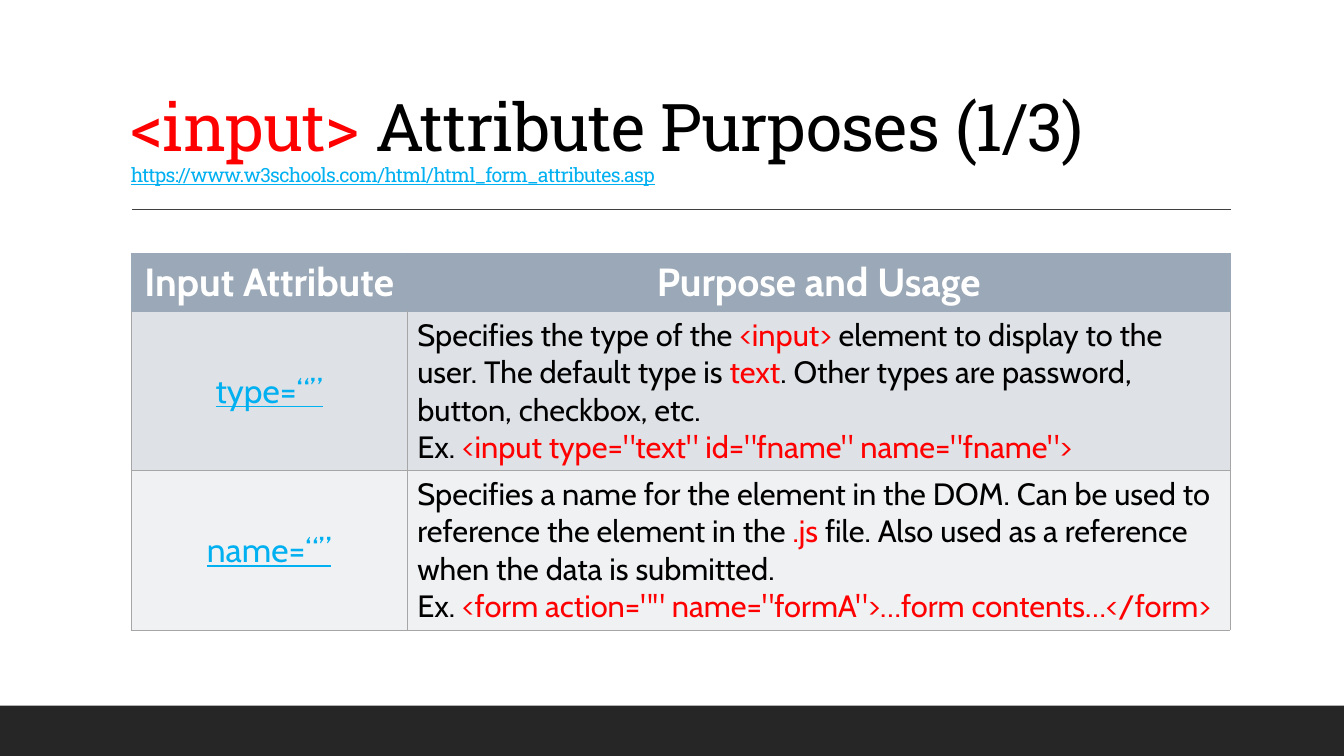
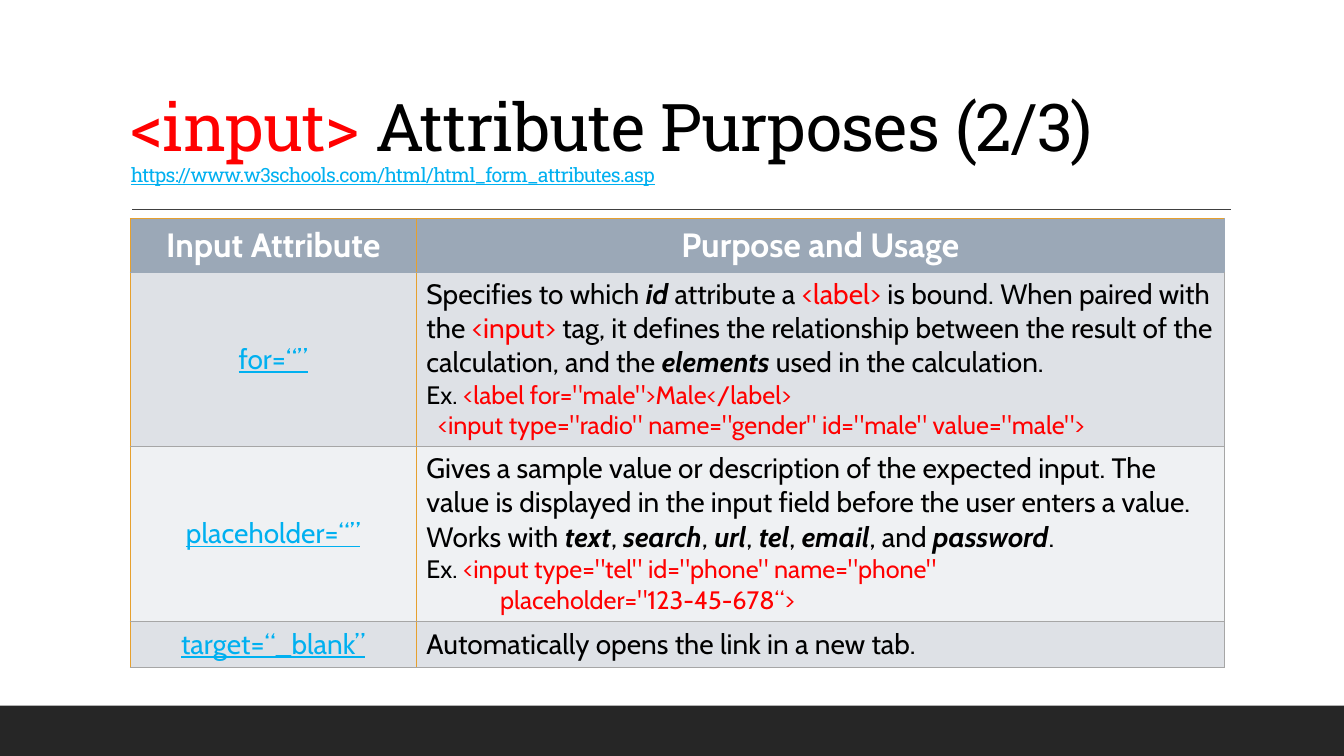
from dataclasses import dataclass
from typing import Optional

from lxml import etree
from pptx import Presentation
from pptx import util as u
from pptx.dml.color import RGBColor
from pptx.enum import shapes, text
from pptx.oxml import ns

COLORS = {
    "band": "262626", "rule": "404040", "black": "000000", "white": "FFFFFF",
    "tag": "FF0000", "link": "00B0F0", "header": "9BA8B7",
    "odd": "DEE1E6", "even": "EFF1F3", "grid": "A6A6A6", "orange": "E6A02E",
}
TITLE_FONT, BODY_FONT = "Roboto Slab", "Cabin"

# Colour key and font attributes of each kind of span
STYLES = {
    "plain": ("black", {"bold": False}),
    "tag": ("tag", {"bold": False}),
    "term": ("black", {"bold": True, "italic": True}),
    "link": ("link", {"bold": False, "underline": True}),
    "header": ("white", {"bold": True}),
}


@dataclass
class Span:
    text: str
    style: str = "plain"


@dataclass
class Line:
    spans: list[Span]
    size: float


@dataclass
class Entry:
    attribute: str
    purpose: list[Line]
    height: float


@dataclass
class AttributeTable:
    left: float
    top: float
    widths: tuple[float, float]
    header_height: float
    header_size: float
    link_size: float
    entries: list[Entry]
    edge: Optional[str] = None


def rgb(key: str) -> RGBColor:
    return RGBColor.from_string(COLORS[key])


def add_span(para, span: Span, size: float, font: str):
    run = para.add_run()
    run.text = span.text
    color, formats = STYLES[span.style]
    for name, value in {"name": font, "size": u.Pt(size), **formats}.items():
        setattr(run.font, name, value)
    run.font.color.rgb = rgb(color)
    return run


def add_frame(page) -> None:
    """Bottom band and the rule under the title."""
    band = page.shapes.add_shape(shapes.MSO_SHAPE.RECTANGLE, 0, u.Inches(7),
                                 u.Inches(13.33), u.Inches(0.5))
    band.shadow.inherit = False
    band.fill.solid()
    band.fill.fore_color.rgb = rgb("band")
    band.line.fill.background()
    rule = page.shapes.add_connector(shapes.MSO_CONNECTOR.STRAIGHT, u.Inches(1.31),
                                     u.Inches(2.08), u.Inches(12.21), u.Inches(2.08))
    rule.line.color.rgb = rgb("rule")
    rule.line.width = u.Pt(1)
    etree.SubElement(rule._element.spPr, ns.qn("a:effectLst"))


def add_title(page, part: int) -> None:
    box = page.shapes.add_textbox(u.Inches(1.2), u.Inches(0.31),
                                  u.Inches(11), u.Inches(1.59))
    box.text_frame.word_wrap = True
    box.text_frame.vertical_anchor = text.MSO_ANCHOR.BOTTOM
    para = box.text_frame.paragraphs[0]
    para.line_spacing = 0.9
    runs = [add_span(para, Span("<input>", "tag"), 47, TITLE_FONT),
            add_span(para, Span(f" Attribute Purposes ({part}/3)"), 47, TITLE_FONT)]
    para.add_line_break()
    address = Span("https://www.w3schools.com/html/html_form_attributes.asp", "link")
    runs.append(add_span(para, address, 14, TITLE_FONT))
    for run in runs:
        run.font._element.set("spc", "-50")


def set_borders(cell, borders: dict[str, str]) -> None:
    properties = cell._tc.get_or_add_tcPr()
    for side, color in borders.items():
        line = etree.SubElement(properties, ns.qn(f"a:ln{side}"), w=str(u.Pt(0.5)))
        fill = etree.SubElement(line, ns.qn("a:solidFill"))
        etree.SubElement(fill, ns.qn("a:srgbClr"), val=COLORS[color])


def fill_cell(cell, lines: list[Line], fill: str, centered: bool) -> None:
    cell.fill.solid()
    cell.fill.fore_color.rgb = rgb(fill)
    cell.vertical_anchor = text.MSO_ANCHOR.MIDDLE
    frame = cell.text_frame
    for index, line in enumerate(lines):
        para = frame.add_paragraph() if index else frame.paragraphs[0]
        para.alignment = text.PP_ALIGN.CENTER if centered else text.PP_ALIGN.LEFT
        for span in line.spans:
            add_span(para, span, line.size, BODY_FONT)


def add_attribute_table(page, data: AttributeTable) -> None:
    heights = [data.header_height] + [entry.height for entry in data.entries]
    rows = [[[Line([Span(label, "header")], data.header_size)]
             for label in ("Input Attribute", "Purpose and Usage")]]
    rows += [[[Line([Span(entry.attribute, "link")], data.link_size)], entry.purpose]
             for entry in data.entries]
    table = page.shapes.add_table(len(rows), 2, u.Inches(data.left), u.Inches(data.top),
                                  u.Inches(sum(data.widths)),
                                  u.Inches(sum(heights))).table
    table.horz_banding = False
    for column, width in zip(table.columns, data.widths):
        column.width = u.Inches(width)
    for r, (height, contents) in enumerate(zip(heights, rows)):
        table.rows[r].height = u.Inches(height)
        fill = "header" if r == 0 else "odd" if r % 2 else "even"
        base = "header" if r == 0 else "grid"
        edge = data.edge or base
        above = edge if r == 0 else "header" if r == 1 else "grid"
        for c, lines in enumerate(contents):
            cell = table.cell(r, c)
            set_borders(cell, {"L": edge, "R": base if c else edge,
                               "T": above, "B": base})
            fill_cell(cell, lines, fill, centered=r == 0 or c == 0)


# Slide contents
TABLES = [
    AttributeTable(1.3, 2.51, (2.74, 8.16), 0.58, 28, 24, [
        Entry("type=“”", [
            Line([Span("Specifies the type of the "), Span("<input> ", "tag"),
                  Span("element to display to the user. The default type is "),
                  Span("text", "tag"),
                  Span(". Other types are password, button, checkbox, etc.")], 22),
            Line([Span("Ex. "),
                  Span('<input type="text" id="fname" name="fname">', "tag")], 22),
        ], 1.58),
        Entry("name=“”", [
            Line([Span("Specifies a name for the element in the DOM. Can be used to "
                       "reference the element in the "), Span(".js ", "tag"),
                  Span("file. Also used as a reference when the data is submitted.")],
                 22),
            Line([Span("Ex. "),
                  Span('<form action="" name="formA">…form contents…</form>', "tag")],
                 22),
        ], 1.58),
    ]),
    AttributeTable(1.29, 2.17, (2.84, 8.01), 0.53, 24, 20, [
        Entry("for=“”", [
            Line([Span("Specifies to which "), Span("id ", "term"),
                  Span("attribute a "), Span("<label>", "tag"),
                  Span(" is bound. When paired with the "), Span("<input> ", "tag"),
                  Span("tag, it defines the relationship between the result of the "
                       "calculation, and the "), Span("elements ", "term"),
                  Span("used in the calculation.")], 20),
            Line([Span("Ex. "), Span('<label for="male">Male</label>', "tag")], 18),
            Line([Span('  <input type="radio" name="gender" id="male" value="male">',
                       "tag")], 18),
        ], 1.73),
        Entry("placeholder=“”", [
            Line([Span("Gives a sample value or description of the expected input. The "
                       "value is displayed in the input field before the user enters a "
                       "value. Works with "),
                  Span("text", "term"), Span(", "), Span("search", "term"), Span(", "),
                  Span("url", "term"), Span(", "), Span("tel", "term"), Span(", "),
                  Span("email", "term"), Span(", and "), Span("password", "term"),
                  Span(".")], 20),
            Line([Span("Ex. "),
                  Span('<input type="tel" id="phone" name="phone"', "tag")], 18),
            Line([Span('             placeholder="123-45-678“>', "tag")], 18),
        ], 1.73),
        Entry("target=“_blank”", [
            Line([Span("Automatically opens the link in a new tab.")], 20),
        ], 0.46),
    ], edge="orange"),
]


def main() -> None:
    deck = Presentation()
    deck.slide_width, deck.slide_height = u.Inches(13.33), u.Inches(7.5)
    for part, data in enumerate(TABLES, start=1):
        page = deck.slides.add_slide(deck.slide_layouts[6])
        add_frame(page)
        add_title(page, part)
        add_attribute_table(page, data)
    deck.save("out.pptx")


if __name__ == "__main__":
    main()
